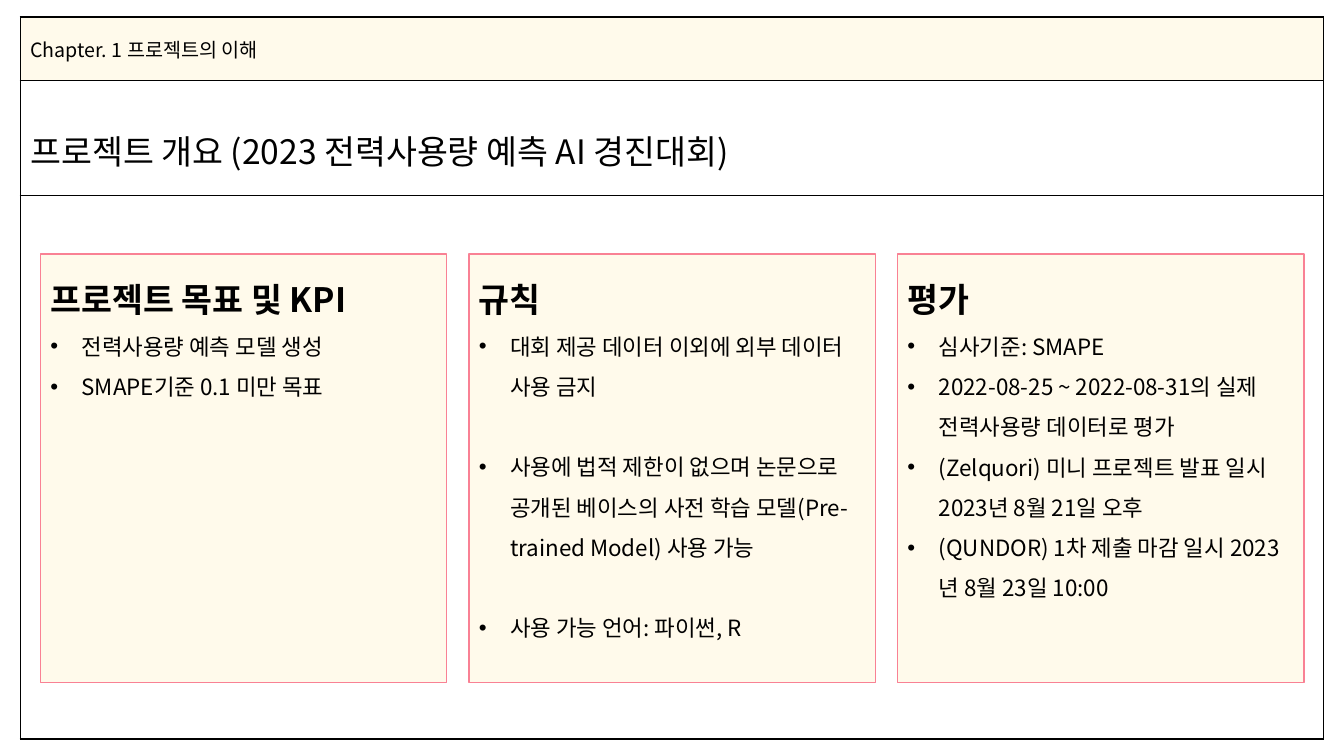
from dataclasses import dataclass

from lxml import etree
from pptx import Presentation
from pptx.dml.color import RGBColor
from pptx.enum.shapes import MSO_SHAPE
from pptx.enum.text import MSO_ANCHOR, PP_ALIGN
from pptx.oxml.ns import qn
from pptx.util import Cm, Pt

RECTANGLE = MSO_SHAPE.RECTANGLE
TOP, MIDDLE = MSO_ANCHOR.TOP, MSO_ANCHOR.MIDDLE
LEFT = PP_ALIGN.LEFT


@dataclass(frozen=True)
class Theme:
    font: str = "Noto Sans CJK KR"
    text: RGBColor = RGBColor(0, 0, 0)
    cream: RGBColor = RGBColor(0xFF, 0xFA, 0xEB)
    pink: RGBColor = RGBColor(0xF9, 0x81, 0x94)
    border: str = "000000"
    line: Pt = Pt(1)
    chapter: Pt = Pt(14)
    title: Pt = Pt(24)
    body: Pt = Pt(16)
    bullet_gap: Pt = Pt(28.7)
    spacing: float = 1.5


theme = Theme()


def write(paragraph, text, size, bold=False, spacing=theme.spacing, bullet=False):
    """Fill a paragraph and style it, with a hanging bullet if asked."""
    properties = paragraph._p.get_or_add_pPr()
    if bullet:
        properties.set("marL", str(Cm(0.79)))
        properties.set("indent", str(-Cm(0.79)))
        etree.SubElement(properties, qn("a:buFont"), typeface="Arial")
        etree.SubElement(properties, qn("a:buChar"), char="•")
    paragraph.text = text
    paragraph.alignment = LEFT
    paragraph.line_spacing = spacing
    paragraph.font.size = size
    paragraph.font.bold = bold
    paragraph.font.color.rgb = theme.text
    paragraph.font.name = theme.font
    etree.SubElement(properties.find(qn("a:defRPr")), qn("a:ea"), typeface=theme.font)


def add_borders(cell):
    properties = cell._tc.get_or_add_tcPr()
    for index, side in enumerate(("lnL", "lnR", "lnT", "lnB")):
        border = etree.Element(qn(f"a:{side}"), w=str(theme.line))
        fill = etree.SubElement(border, qn("a:solidFill"))
        etree.SubElement(fill, qn("a:srgbClr"), val=theme.border)
        properties.insert(index, border)


presentation = Presentation()
presentation.slide_width = Cm(33.87)
presentation.slide_height = Cm(19.05)
slide = presentation.slides.add_slide(presentation.slide_layouts[6])

# Page frame: chapter, title and empty body rows
row_heights = (1.6, 2.9, 13.69)
frame = slide.shapes.add_table(
    len(row_heights), 1, Cm(0.51), Cm(0.43), Cm(32.84), Cm(sum(row_heights))
).table
frame.first_row = False
frame.horz_banding = False
for row, height in zip(frame.rows, row_heights):
    row.height = Cm(height)
    cell = row.cells[0]
    cell.vertical_anchor = MIDDLE
    cell.fill.background()
    add_borders(cell)

chapter_cell, title_cell = frame.cell(0, 0), frame.cell(1, 0)
chapter_cell.fill.solid()
chapter_cell.fill.fore_color.rgb = theme.cream
write(chapter_cell.text_frame.paragraphs[0], "Chapter. 1 프로젝트의 이해",
      theme.chapter, spacing=1.0)
write(title_cell.text_frame.paragraphs[0],
      "프로젝트 개요 (2023 전력사용량 예측 AI 경진대회)", theme.title)

# Cards: heading, bullets, space before each later bullet
cards = (
    ("프로젝트 목표 및 KPI", (
        "전력사용량 예측 모델 생성",
        "SMAPE기준 0.1 미만 목표",
    ), Pt(0)),
    ("규칙", (
        "대회 제공 데이터 이외에 외부 데이터 사용 금지",
        "사용에 법적 제한이 없으며 논문으로 공개된 베이스의 사전 학습 모델(Pre-trained Model) 사용 가능",
        "사용 가능 언어: 파이썬, R",
    ), theme.bullet_gap),
    ("평가", (
        "심사기준: SMAPE",
        "2022-08-25 ~ 2022-08-31의 실제 전력사용량 데이터로 평가",
        "(Zelquori) 미니 프로젝트 발표 일시 2023년 8월 21일 오후",
        "(QUNDOR) 1차 제출 마감 일시 2023년 8월 23일 10:00",
    ), Pt(0)),
)
for column, (heading, bullets, gap) in enumerate(cards):
    card = slide.shapes.add_shape(
        RECTANGLE, Cm(1.02 + 10.8 * column), Cm(6.4), Cm(10.24), Cm(10.8)
    )
    card.shadow.inherit = False
    card.fill.solid()
    card.fill.fore_color.rgb = theme.cream
    card.line.color.rgb = theme.pink
    card.line.width = theme.line
    text_frame = card.text_frame
    text_frame.word_wrap = True
    text_frame.vertical_anchor = TOP
    write(text_frame.paragraphs[0], heading, theme.title, bold=True)
    for position, text in enumerate(bullets):
        paragraph = text_frame.add_paragraph()
        write(paragraph, text, theme.body, bullet=True)
        paragraph.space_before = gap if position else Pt(0)

presentation.save("out.pptx")
